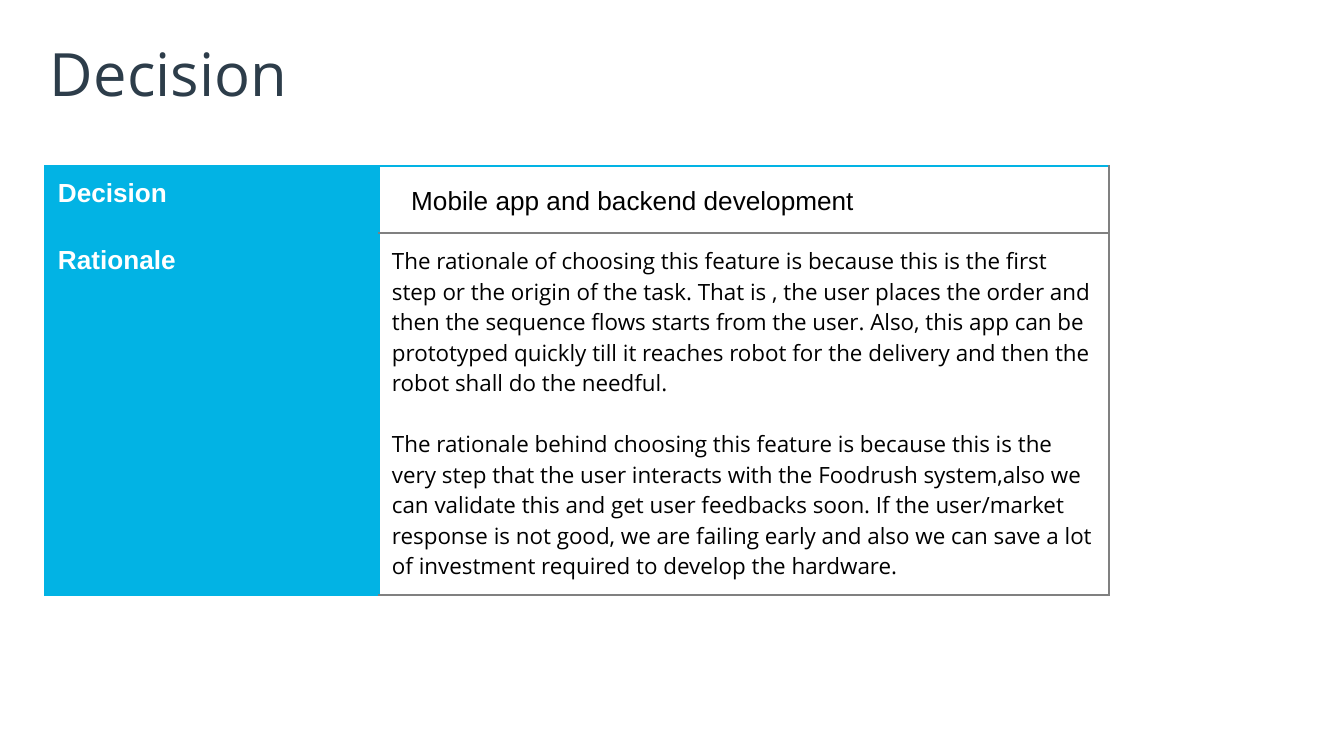
from lxml import etree
from pptx import Presentation
from pptx.dml.color import RGBColor
from pptx.enum.text import MSO_ANCHOR, PP_ALIGN
from pptx.oxml.ns import qn
from pptx.util import Emu, Pt

LEFT = PP_ALIGN.LEFT
TOP = MSO_ANCHOR.TOP
MIDDLE = MSO_ANCHOR.MIDDLE

CYAN = RGBColor(0x02, 0xB3, 0xE4)
GREY = RGBColor(0x80, 0x80, 0x80)
NAVY = RGBColor(0x2D, 0x3D, 0x4A)
WHITE = RGBColor(0xFF, 0xFF, 0xFF)
BLACK = RGBColor(0x00, 0x00, 0x00)

EMU_PER_PX = 914400 / 134.4
COLUMN_WIDTHS = (334, 730)
ROW_HEIGHTS = (57, 362)
LABELS = ("Decision", "Rationale")
RATIONALE = (
    "The rationale of choosing this feature is because this is the first step or the "
    "origin of the task. That is , the user places the order and then the sequence flows "
    "starts from the user. Also, this app can be prototyped quickly till it reaches robot "
    "for the delivery and then the robot shall do the needful.",
    "The rationale behind choosing this feature is because this is the very step that the "
    "user interacts with the Foodrush system,also we can validate this and get user "
    "feedbacks soon. If the user/market response is not good, we are failing early and also "
    "we can save a lot of investment required to develop the hardware.",
)


def px(length):
    return Emu(round(length * EMU_PER_PX))


def place(box, left, top, width, height):
    box.left, box.top, box.width, box.height = map(px, (left, top, width, height))


def write(frame, texts, font, size, color, bold=False, gap=0):
    frame.word_wrap = True
    for index, text in enumerate(texts):
        para = frame.paragraphs[0] if index == 0 else frame.add_paragraph()
        para.alignment = LEFT
        para.space_before = Pt(gap if index else 0)
        span = para.add_run()
        span.text = text
        span.font.name = font
        span.font.size = Pt(size)
        span.font.bold = bold
        span.font.color.rgb = color


def set_margins(target, margin):
    target.margin_left = target.margin_right = px(margin)
    target.margin_top = target.margin_bottom = px(margin)


def set_borders(cell, left, right, top, bottom):
    properties = cell._tc.get_or_add_tcPr()
    sides = zip(("lnL", "lnR", "lnT", "lnB"), (left, right, top, bottom))
    for index, (side, color) in enumerate(sides):
        line = etree.Element(qn(f"a:{side}"), w=str(Pt(0.75)))
        fill = etree.SubElement(line, qn("a:solidFill"))
        etree.SubElement(fill, qn("a:srgbClr"), val=str(color))
        properties.insert(index, line)


def add_title(page):
    title = page.shapes.title
    place(title, 45, 32, 1253, 85)
    set_margins(title.text_frame, 5)
    title.text_frame.vertical_anchor = TOP
    write(title.text_frame, ["Decision"], "Open Sans", 32, NAVY)


def add_decision_table(page):
    frame = page.shapes.add_table(2, 2, px(45), px(166), px(sum(COLUMN_WIDTHS)), px(sum(ROW_HEIGHTS)))
    table = frame.table
    table.first_row = table.horz_banding = False
    for column, width in zip(table.columns, COLUMN_WIDTHS):
        column.width = px(width)
    for index, (height, label) in enumerate(zip(ROW_HEIGHTS, LABELS)):
        table.rows[index].height = px(height)
        heading, content = table.cell(index, 0), table.cell(index, 1)
        for cell in (heading, content):
            set_margins(cell, 13)
            cell.vertical_anchor = TOP
        heading.fill.solid()
        heading.fill.fore_color.rgb = CYAN
        content.fill.background()
        set_borders(heading, CYAN, CYAN, CYAN, CYAN)
        set_borders(content, CYAN, GREY, GREY if index else CYAN, GREY)
        write(heading.text_frame, [label], "Arial", 14, WHITE, bold=True)
    write(table.cell(1, 1).text_frame, RATIONALE, "Open Sans", 12, BLACK, gap=16.4)


def add_decision_text(page):
    box = page.shapes.add_textbox(px(398), px(177), px(875), px(46))
    box.text_frame.vertical_anchor = MIDDLE
    write(box.text_frame, ["Mobile app and backend development"], "Arial", 14, BLACK)


def main():
    deck = Presentation()
    deck.slide_width, deck.slide_height = px(1344), px(756)
    page = deck.slides.add_slide(deck.slide_layouts[5])
    add_title(page)
    add_decision_table(page)
    add_decision_text(page)
    deck.save("out.pptx")


if __name__ == "__main__":
    main()
